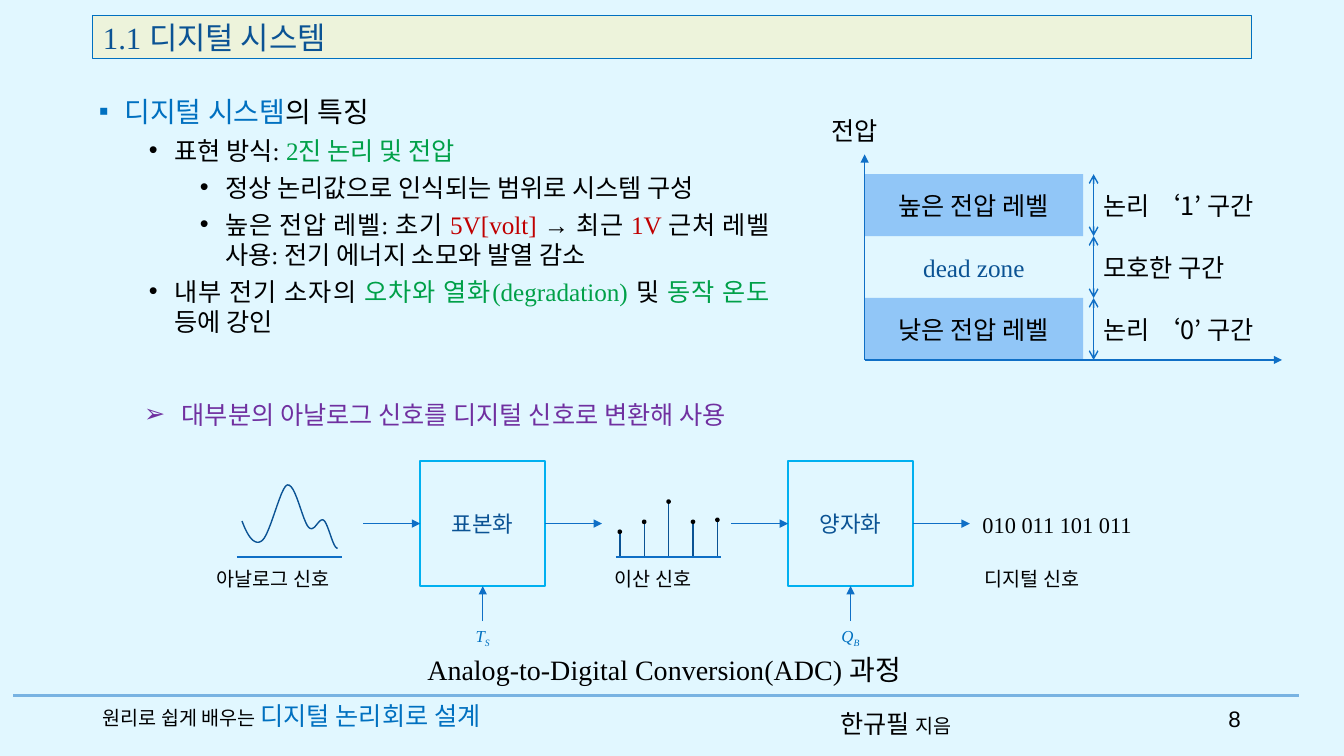
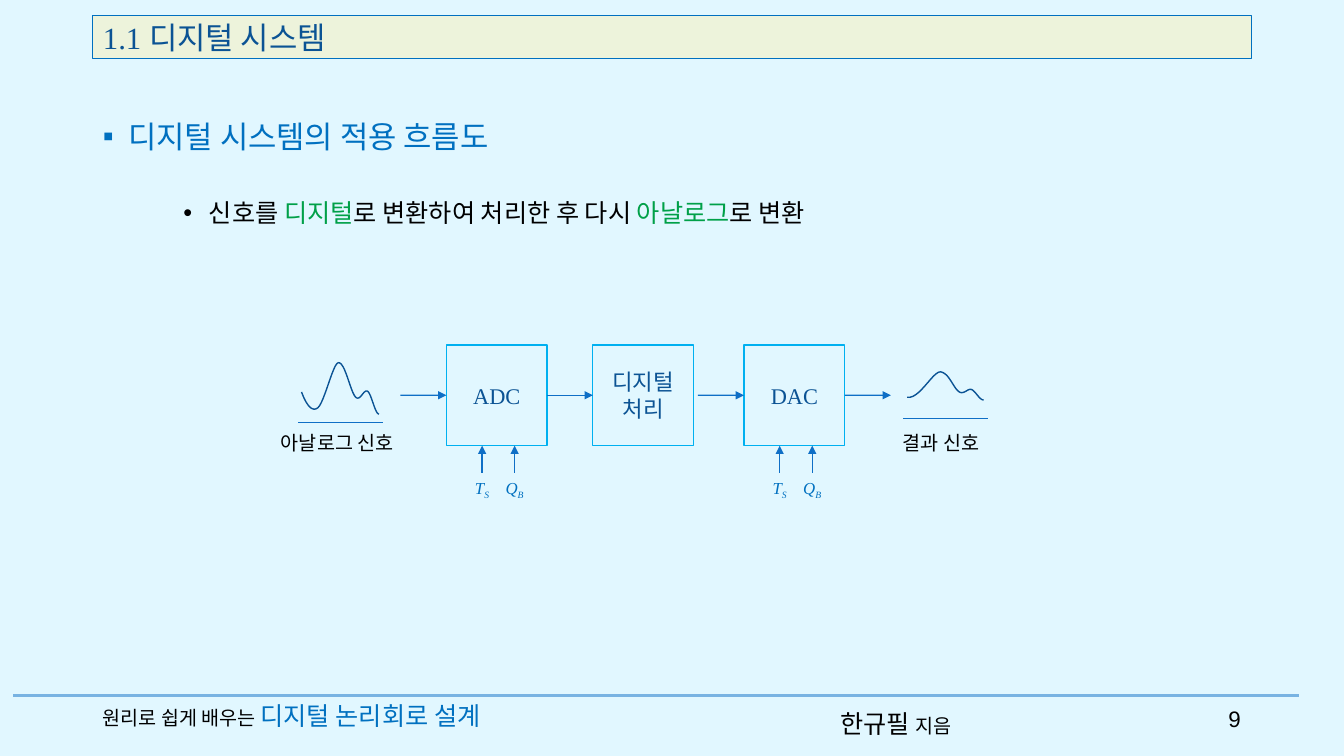
from lxml import etree
from pptx import Presentation
from pptx.dml.color import RGBColor
from pptx.enum import shapes, text
from pptx.oxml import ns
from pptx.util import Cm, Pt

SKY = RGBColor(0xE1, 0xF7, 0xFF)
CREAM = RGBColor(0xED, 0xF3, 0xDB)
RULE = RGBColor(0x78, 0xB3, 0xE2)
BAND = RGBColor(0x91, 0xC6, 0xF7)
AXIS = RGBColor(0x0F, 0x6F, 0xC6)
BLUE = RGBColor(0x00, 0x70, 0xC0)
NAVY = RGBColor(0x0B, 0x53, 0x94)
CYAN = RGBColor(0x00, 0xB0, 0xF0)
GREEN = RGBColor(0x00, 0xA0, 0x48)
RED = RGBColor(0xC0, 0x00, 0x00)
PURPLE = RGBColor(0x70, 0x30, 0xA0)
BLACK = RGBColor(0, 0, 0)
NOTO, TIMES = "Noto Sans CJK KR", "Times New Roman"
LEFT, MID, RIGHT = text.PP_ALIGN.LEFT, text.PP_ALIGN.CENTER, text.PP_ALIGN.RIGHT
FLUSH = text.PP_ALIGN.JUSTIFY
TOP, CORE = text.MSO_ANCHOR.TOP, text.MSO_ANCHOR.MIDDLE
BOX, DOT = shapes.MSO_SHAPE.RECTANGLE, shapes.MSO_SHAPE.OVAL

# A run is a string, or a string with the format that differs.
G, R = dict(colour=GREEN), dict(colour=RED)
HEAD = "1.1 디지털 시스템"
BOOK = ["원리로 쉽게 배우는 ", ("디지털 논리회로 설계", dict(size=18, colour=BLUE))]
AUTHOR = ["한규필 ", ("지음", dict(size=14))]
FIRST = 8

# Bullet, left margin (cm), space before (pt), size, runs
TRAITS = [
    ("▪", 0.64, 0, 20, [("디지털 시스템", dict(colour=BLUE)), "의 특징"]),
    ("•", 1.9, 5, 18, ["표현 방식: ", ("2진 논리 및 전압", G)]),
    ("•", 3.18, 5, 18, ["정상 논리값으로 인식되는 범위로 시스템 구성"]),
    ("•", 3.18, 5, 18, ["높은 전압 레벨: 초기 ", ("5V[volt] ", R), "→ 최근 ", ("1V ", R),
                        "근처 레벨 사용: 전기 에너지 소모와 발열 감소"]),
    ("•", 1.9, 5, 18, ["내부 전기 소자의 ", ("오차와 열화(degradation) ", G), "및 ",
                       ("동작 온도 ", G), "등에 강인"]),
]
FLOW = [
    ("▪", 0.64, 0, 22, [("디지털 시스템의 적용 흐름도", dict(colour=BLUE))]),
    ("•", 2.67, 31, 18, ["신호를 ", ("디지털", G), "로 변환하여 처리한 후 다시 ",
                         ("아날로그", G), "로 변환"]),
]
USE = "대부분의 아날로그 신호를 디지털 신호로 변환해 사용"
ADC = ["Analog-to-Digital Conversion(ADC) ", ("과정", dict(font=NOTO))]

# Label, fill, font, colour, range label
LEVELS = [
    ("높은 전압 레벨", BAND, NOTO, BLACK, "논리 ‘1’ 구간"),
    ("dead zone", None, TIMES, NAVY, "모호한 구간"),
    ("낮은 전압 레벨", BAND, NOTO, BLACK, "논리 ‘0’ 구간"),
]
STEMS = [13.41, 13.16, 12.65, 13.16, 13.11]

# Bezier curves in cm: start, then two handles and an end for each piece
SIGNAL = [(0, 0.91), (0.15, 1.32), (0.33, 1.55), (0.51, 1.4), (0.71, 1.24), (0.97, 0.05),
          (1.14, 0), (1.35, -0.05), (1.52, 0.91), (1.68, 1.07), (1.83, 1.22), (1.93, 0.81),
          (2.06, 0.89), (2.18, 0.99), (2.29, 1.6), (2.41, 1.6)]
RESULT = [(0, 0.64), (0.3, 0.71), (0.64, 0), (0.84, 0), (1.07, 0.03), (1.17, 0.43),
          (1.32, 0.51), (1.45, 0.58), (1.55, 0.38), (1.65, 0.46), (1.75, 0.53),
          (1.83, 0.71), (1.93, 0.71)]


def put(para, runs, size=18, font=NOTO, colour=BLACK, italic=False, base=0, align=LEFT):
    """Fill a paragraph with runs that share a format."""
    para.alignment = align
    for part in [runs] if isinstance(runs, str) else runs:
        words, own = (part, {}) if isinstance(part, str) else part
        fmt = dict(size=size, font=font, colour=colour, base=base) | own
        run = para.add_run()
        run.text = words
        run.font.size, run.font.name = Pt(fmt["size"]), fmt["font"]
        run.font.color.rgb, run.font.italic = fmt["colour"], italic
        props = run.font._element
        etree.SubElement(props, ns.qn("a:ea"), typeface=NOTO)
        if fmt["base"]:
            props.set("baseline", str(fmt["base"] * 1000))


def label(slide, runs, x, y, wide, high=1, anchor=TOP, **fmt):
    frame = slide.shapes.add_textbox(Cm(x), Cm(y), Cm(wide), Cm(high)).text_frame
    frame.word_wrap, frame.vertical_anchor = True, anchor
    put(frame.paragraphs[0], runs, **fmt)
    return frame


def paint(shape, fill=None, line=None, width=1):
    if fill is None:
        shape.fill.background()
    else:
        shape.fill.solid()
        shape.fill.fore_color.rgb = fill
    if line is None:
        shape.line.fill.background()
    else:
        shape.line.color.rgb, shape.line.width = line, Pt(width)


def draw(slide, kind, x, y, wide, high, runs="", fill=None, line=None, **fmt):
    shape = slide.shapes.add_shape(kind, Cm(x), Cm(y), Cm(wide), Cm(high))
    shape.shadow.inherit = False
    paint(shape, fill, line)
    if runs:
        frame = shape.text_frame
        frame.word_wrap, frame.vertical_anchor = True, CORE
        put(frame.paragraphs[0], runs, align=MID, **fmt)
    return shape


def link(slide, start, end, colour=AXIS, width=1, head=None, tail=None, joins=()):
    """Draw a line; joins holds (shape, site) for its begin and end, or None."""
    line = slide.shapes.add_connector(shapes.MSO_CONNECTOR.STRAIGHT,
                                      *(Cm(v) for v in (*start, *end)))
    for join, tie in zip(joins, (line.begin_connect, line.end_connect)):
        if join:
            tie(*join)
    line.line.color.rgb, line.line.width = colour, Pt(width)
    stroke = line.line._ln
    for tag, kind in (("a:headEnd", head), ("a:tailEnd", tail)):
        if kind:
            etree.SubElement(stroke, ns.qn(tag), type=kind)
    etree.SubElement(line._element.spPr, ns.qn("a:effectLst"))


def curve(slide, points, x, y, scale=1, steps=12):
    """Draw a chain of Bezier pieces as a fine open outline."""
    spots = [points[0]]
    for i in range(0, len(points) - 1, 3):
        for k in range(1, steps + 1):
            t = k / steps
            mix = ((1 - t) ** 3, 3 * t * (1 - t) ** 2, 3 * t * t * (1 - t), t ** 3)
            spots.append([sum(m * p[axis] for m, p in zip(mix, points[i:i + 4]))
                          for axis in (0, 1)])
    spots = [(Cm(x + px * scale), Cm(y + py * scale)) for px, py in spots]
    pen = slide.shapes.build_freeform(*spots[0])
    pen.add_line_segments(spots[1:], close=False)
    shape = pen.convert_to_shape()
    shape.shadow.inherit = False
    paint(shape, line=NAVY)


def mark(para, sign, left, hang):
    """Give a paragraph a bullet with a hanging indent."""
    props = para._p.get_or_add_pPr()
    props.set("marL", str(Cm(left)))
    props.set("indent", str(-Cm(hang)))
    etree.SubElement(props, ns.qn("a:buFont"), typeface="Arial")
    etree.SubElement(props, ns.qn("a:buChar"), char=sign)


def place(shape, x, y, wide, high):
    shape.left, shape.top, shape.width, shape.height = Cm(x), Cm(y), Cm(wide), Cm(high)
    frame = shape.text_frame
    frame.auto_size, frame.word_wrap = text.MSO_AUTO_SIZE.NONE, True
    return frame


def page(deck, number, items, spot, align):
    """Add a slide with its title, list and footer."""
    slide = deck.slides.add_slide(deck.slide_layouts[1])
    title, body = slide.placeholders
    frame = place(title, 2.34, 0.38, 29.21, 1.09)
    frame.margin_top = frame.margin_bottom = 0
    frame.vertical_anchor = CORE
    paint(title, CREAM, BLUE, 0.75)
    put(frame.paragraphs[0], HEAD, size=22, font=TIMES, colour=NAVY)

    frame = place(body, *spot)
    frame.vertical_anchor = TOP
    for i, (sign, left, gap, size, runs) in enumerate(items):
        para = frame.add_paragraph() if i else frame.paragraphs[0]
        mark(para, sign, left, 0.64)
        para.space_before, para.line_spacing = Pt(gap), Pt(21.5)
        put(para, runs, size=size, font=TIMES, align=align)

    link(slide, (0.33, 17.53), (32.74, 17.53), RULE, 2.5)
    label(slide, BOOK, 2.34, 17.53, 11.76, size=14, font=TIMES)
    label(slide, AUTHOR, 20.93, 17.73, 3.89)
    label(slide, str(number), 29.95, 17.65, 1.57, size=16, font="Arial", align=RIGHT)
    return slide


def stages(slide, names, lefts, y, size, gap, font):
    """Draw boxes, each with an arrow in and, where there is room, an arrow out."""
    mid, boxes = y + size / 2, []
    for name, x in zip(names, lefts):
        box = draw(slide, BOX, x, y, size, size, name, line=CYAN,
                   size=16, font=font, colour=NAVY)
        near = boxes and x - gap - lefts[len(boxes) - 1] - size < 0.05
        link(slide, (x - gap, mid), (x, mid), tail="triangle",
             joins=((boxes[-1], 3) if near else None, (box, 1)))
        boxes.append(box)
    return boxes


def leave(slide, box, x, y, gap):
    link(slide, (x, y), (x + gap, y), tail="triangle", joins=((box, 3),))


def feed(slide, sign, sub, x, foot, y, join=None):
    """Draw an arrow up into a box, with its symbol below."""
    link(slide, (x, y), (x, foot), tail="triangle", joins=(None, join))
    label(slide, [sign, (sub, dict(base=-25))], x - 0.75, y, 1.5, size=12, font=TIMES,
          colour=BLUE, italic=True, align=MID)


def levels(slide, x=21.79, y=4.39, wide=5.51, high=1.56):
    """Draw the voltage bands with their axes and ranges."""
    side, foot = x + wide + 0.26, y + 3 * high
    for i, (name, fill, font, colour, span) in enumerate(LEVELS):
        top = y + i * high
        draw(slide, BOX, x, top, wide, high, name, fill, font=font, colour=colour)
        link(slide, (side, top), (side, top + high), head="arrow", tail="arrow")
        label(slide, span, side, top, 5.2, high, CORE)
    for end in ((32.31, foot), (x, 3.89)):
        link(slide, (x, foot), end, tail="triangle")
    label(slide, "전압", 20.7, 2.77, 2.13)


def convert(slide, y=11.62, size=3.15, gap=1.43):
    """Draw the path from analog to digital signal."""
    mid, foot, base = y + size / 2, y + size, 14.04
    lefts = (10.59, 19.86)
    boxes = stages(slide, ["표본화", "양자화"], lefts, y, size, gap, NOTO)
    for box, x, sign, sub in zip(boxes, lefts, "TQ", "SB"):
        leave(slide, box, x + size, mid, gap)
        feed(slide, sign, sub, x + size / 2, foot, 15.65, (box, 2))
    curve(slide, SIGNAL, 6.1, 12.22)
    for i, top in enumerate(STEMS):
        x = 15.62 + i * 0.615
        link(slide, (x, top), (x, base), NAVY)
        draw(slide, DOT, x - 0.04, top - 0.05, 0.08, 0.08, fill=BLACK, line=BLACK)
    for x in (5.97, 15.52):
        link(slide, (x, base), (x + 2.65, base))
    for x, name in ((5.21, "아날로그 신호"), (15.24, "이산 신호"), (24.56, "디지털 신호")):
        label(slide, name, x, 14.17, 4.4, size=14)
    label(slide, "010 011 101 011", 24.51, 12.75, 5, size=16, font=TIMES)


def process(slide, y=8.69, size=2.54, gap=1.16):
    """Draw the path from analog signal to result."""
    mid, foot, lefts = y + size / 2, y + size, (11.25, 14.94, 18.75)
    boxes = stages(slide, ["ADC", "디지털 처리", "DAC"], lefts, y, size, gap, TIMES)
    leave(slide, boxes[-1], lefts[-1] + size, mid, gap)
    for x in (lefts[0], lefts[-1]):
        for sign, sub, shift in (("T", "S", -0.37), ("Q", "B", 0.45)):
            feed(slide, sign, sub, x + size / 2 + shift, foot, 11.91)
    curve(slide, SIGNAL, 7.6, 9.14, 0.81)
    curve(slide, RESULT, 22.86, 9.37)
    for x, base in ((7.52, 10.64), (22.76, 10.54)):
        link(slide, (x, base), (x + 2.13, base))
    for x, name in ((6.83, "아날로그 신호"), (22.5, "결과 신호")):
        label(slide, name, x, 10.74, 3.7, size=14)


def main():
    deck = Presentation()
    deck.slide_width, deck.slide_height = Cm(33.87), Cm(19.05)
    back = deck.slide_master.background.fill
    back.solid()
    back.fore_color.rgb = SKY

    slide = page(deck, FIRST, TRAITS, (2.24, 2.34, 17.42, 7.11), FLUSH)
    levels(slide)
    use = label(slide, "", 3.38, 9.93, 22.4).paragraphs[0]
    use.clear()
    mark(use, "➢", 0.95, 0.95)
    put(use, USE, colour=PURPLE)
    convert(slide)
    label(slide, ADC, 9.5, 16.31, 14.48, size=20, font=TIMES, align=MID)

    slide = page(deck, FIRST + 1, FLOW, (2.34, 3, 29.21, 3.2), LEFT)
    process(slide)
    deck.save("out.pptx")


if __name__ == "__main__":
    main()
